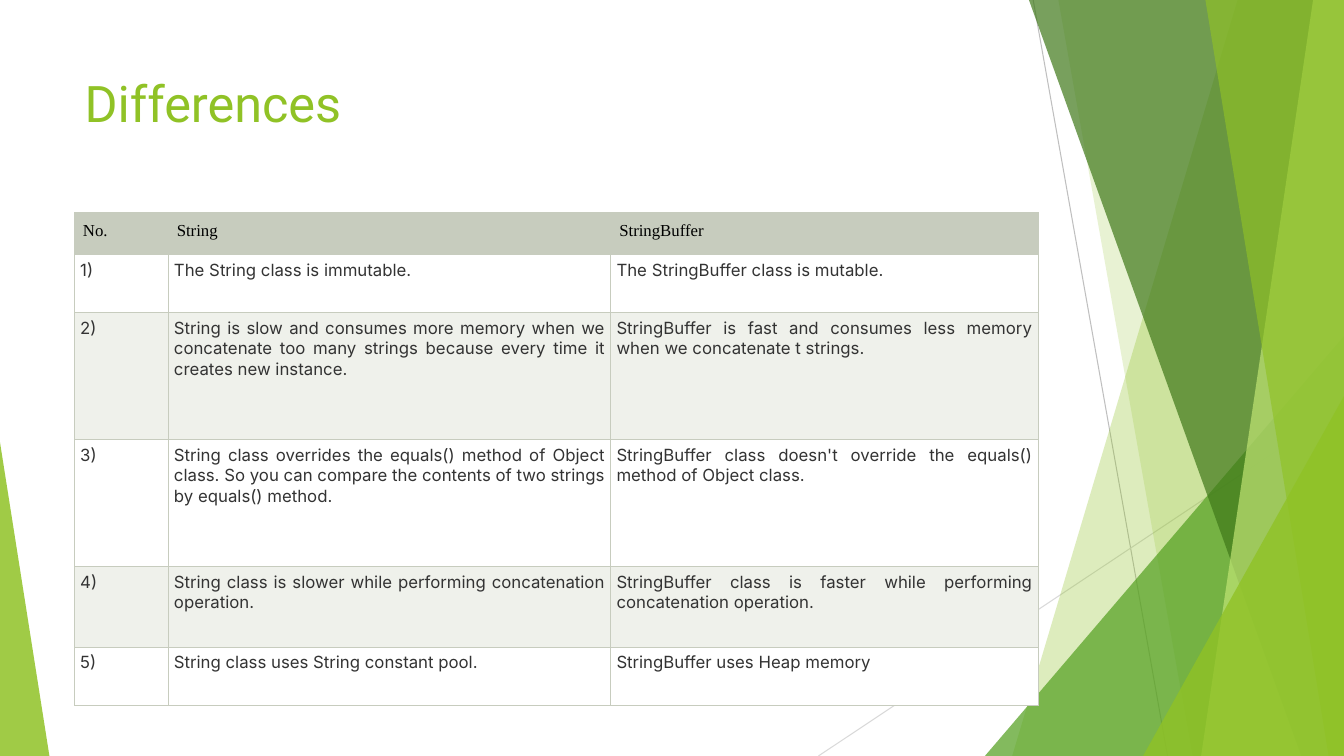
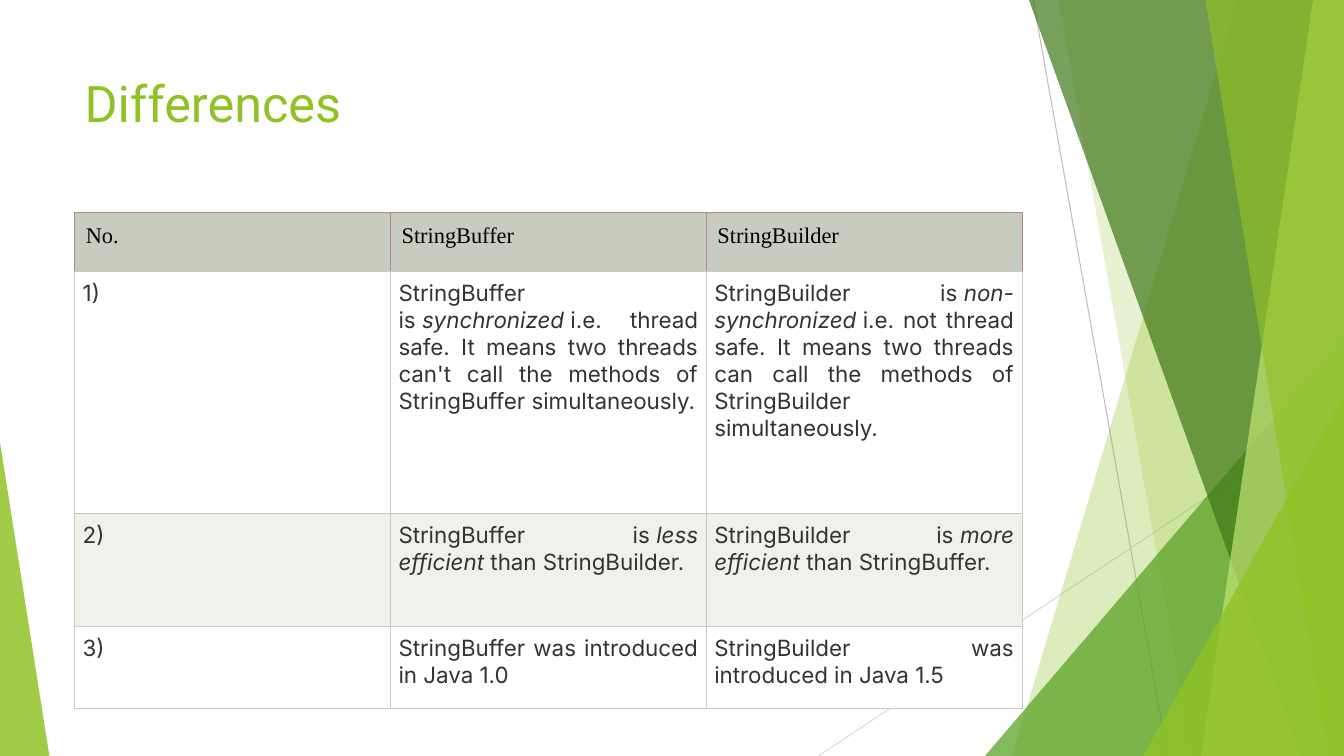
"""Build two slides that compare string classes in tables."""
from dataclasses import dataclass
from typing import Any

from lxml.etree import SubElement
from pptx import Presentation
from pptx.dml.color import RGBColor
from pptx.enum.shapes import MSO_CONNECTOR as CONNECTOR, MSO_SHAPE as SHAPE
from pptx.enum.text import MSO_ANCHOR as ANCHOR, PP_ALIGN as ALIGN
from pptx.oxml.ns import qn
from pptx.util import Pt

WIDTH, HEIGHT = 960, 540
LEFT, TITLE_TOP, TABLE_TOP = 53.3, 48, 152
LIME = RGBColor(0x90, 0xC2, 0x26)
GREEN = RGBColor(0x54, 0xA0, 0x21)
FOREST = RGBColor(0x3F, 0x78, 0x19)
PALE_LIME = RGBColor(0xC0, 0xE4, 0x74)
GREY = RGBColor(0xBF, 0xBF, 0xBF)
LIGHT_GREY = RGBColor(0xD9, 0xD9, 0xD9)
SAGE = RGBColor(0xC7, 0xCC, 0xBE)
PALE_SAGE = RGBColor(0xEF, 0xF1, 0xEB)
MAUVE = RGBColor(0xB0, 0x87, 0x97)
WHITE = RGBColor(0xFF, 0xFF, 0xFF)
BLACK = RGBColor(0, 0, 0)
INK = RGBColor(0x33, 0x33, 0x33)


@dataclass(frozen=True)
class Ray:
    start: tuple[float, float]
    end: tuple[float, float]
    color: RGBColor


@dataclass(frozen=True)
class Band:
    """A panel from a slanted left side to the right slide edge."""
    top_x: float
    bottom_x: float
    color: RGBColor
    alpha: int


@dataclass(frozen=True)
class Wedge:
    """A right triangle that stands on the bottom slide edge."""
    left: float
    top: float
    width: float
    apex: float
    color: RGBColor
    alpha: int


@dataclass(frozen=True)
class TextStyle:
    font: str
    size: float
    color: RGBColor
    align: ALIGN = ALIGN.LEFT


@dataclass(frozen=True)
class Comparison:
    title: str
    size: float
    header_inset: float
    body_inset: float
    header_border: RGBColor
    columns: list[float]
    heights: list[float]
    rows: list[tuple[str, ...]]


RAYS = [Ray((738, 0), (834, HEIGHT), GREY), Ray((WIDTH, 290), (584.6, HEIGHT), LIGHT_GREY)]
PANELS = [
    Band(884, 723, LIME, 30),
    Band(756, 851.8, LIME, 20),
    Wedge(703.5, 240, 256.5, 1, GREEN, 72),
    Band(735, 929.5, FOREST, 70),
    Band(938, 858, PALE_LIME, 70),
    Band(861, 949, LIME, 65),
    Wedge(816.5, 283, 143.5, 1, LIME, 80),
    Wedge(0, 316, 35.3, 0, LIME, 85),
]
TITLE_STYLE = TextStyle("Roboto", 36, LIME)

COMPARISONS = [
    Comparison(
        "Differences", 12, 6, 4, SAGE,
        [67, 316.1, 305.3], [29.6, 41.6, 90.7, 90.7, 57.6, 41.6],
        [
            ("No.", "String", "StringBuffer"),
            ("1)", "The String class is immutable.", "The StringBuffer class is mutable."),
            ("2)", "String is slow and consumes more memory when we concatenate too many "
             "strings because every time it creates new instance.",
             "StringBuffer is fast and consumes less memory when we concatenate t strings."),
            ("3)", "String class overrides the equals() method of Object class. So you can "
             "compare the contents of two strings by equals() method.",
             "StringBuffer class doesn't override the equals() method of Object class."),
            ("4)", "String class is slower while performing concatenation operation.",
             "StringBuffer class is faster while performing concatenation operation."),
            ("5)", "String class uses String constant pool.", "StringBuffer uses Heap memory"),
        ],
    ),
    Comparison(
        "Differences", 16, 8, 5.8, MAUVE,
        [225.6] * 3, [42, 172.8, 81, 58.5],
        [
            ("No.", "StringBuffer", "StringBuilder"),
            ("1)", "StringBuffer is\u00a0*synchronized*\u00a0i.e. thread safe. It means two "
             "threads can't call the methods of StringBuffer simultaneously.",
             "StringBuilder is\u00a0*non-synchronized*\u00a0i.e. not thread safe. It means two "
             "threads can call the methods of StringBuilder simultaneously."),
            ("2)", "StringBuffer is\u00a0*less efficient*\u00a0than StringBuilder.",
             "StringBuilder is\u00a0*more efficient*\u00a0than StringBuffer."),
            ("3)", "StringBuffer was introduced in Java 1.0",
             "StringBuilder was introduced in Java 1.5"),
        ],
    ),
]


def apply(target: Any, values: dict[str, Any]) -> None:
    for name, value in values.items():
        setattr(target, name, value)


def write(tf: Any, text: str, style: TextStyle) -> None:
    """Fill a text frame; asterisks enclose italic words."""
    p = tf.paragraphs[0]
    p.alignment = style.align
    for i, part in enumerate(text.split("*")):
        r = p.add_run()
        r.text = part
        apply(r.font, {"name": style.font, "size": Pt(style.size), "italic": i % 2 == 1})
        r.font.color.rgb = style.color


def add_ray(s: Any, ray: Ray) -> None:
    ends = [Pt(v) for v in (*ray.start, *ray.end)]
    line = s.shapes.add_connector(CONNECTOR.STRAIGHT, *ends)
    line.line.color.rgb = ray.color
    line.line.width = Pt(0.75)
    SubElement(line._element.spPr, qn("a:effectLst"))


def add_panel(s: Any, panel: Band | Wedge) -> None:
    if isinstance(panel, Band):
        corners = [(WIDTH, 0), (WIDTH, HEIGHT), (panel.bottom_x, HEIGHT)]
        builder = s.shapes.build_freeform(Pt(panel.top_x), 0)
        builder.add_line_segments([(Pt(x), Pt(y)) for x, y in corners])
        sp = builder.convert_to_shape()
    else:
        box = (panel.left, panel.top, panel.width, HEIGHT - panel.top)
        sp = s.shapes.add_shape(SHAPE.ISOSCELES_TRIANGLE, *map(Pt, box))
        sp.adjustments[0] = panel.apex
    sp.shadow.inherit = False
    sp.line.fill.background()
    sp.fill.solid()
    sp.fill.fore_color.rgb = panel.color
    color = sp._element.spPr.find(qn("a:solidFill"))[0]
    SubElement(color, qn("a:alpha"), val=str(panel.alpha * 1000))


def add_title(s: Any, text: str) -> None:
    tf = s.shapes.add_textbox(Pt(LEFT), Pt(TITLE_TOP), Pt(677), Pt(104)).text_frame
    apply(tf, {"word_wrap": True, "vertical_anchor": ANCHOR.TOP})
    write(tf, text, TITLE_STYLE)


def set_borders(cell: Any, side_color: RGBColor) -> None:
    """Draw all four edges, with the bottom one always sage."""
    tc_pr = cell._tc.get_or_add_tcPr()
    for edge in "LRTB":
        ln = SubElement(tc_pr, qn(f"a:ln{edge}"), w=str(Pt(0.75)))
        fill = SubElement(ln, qn("a:solidFill"))
        SubElement(fill, qn("a:srgbClr"), val=str(SAGE if edge == "B" else side_color))


def add_comparison(s: Any, data: Comparison) -> None:
    box = (LEFT, TABLE_TOP, sum(data.columns), sum(data.heights))
    table = s.shapes.add_table(len(data.rows), len(data.columns), *map(Pt, box)).table
    apply(table, {"first_row": False, "horz_banding": False})
    for column, width in zip(table.columns, data.columns):
        column.width = Pt(width)
    header = TextStyle("Times New Roman", data.size, BLACK)
    body = TextStyle("Inter", data.size, INK, ALIGN.JUSTIFY)
    for i, (row, height, texts) in enumerate(zip(table.rows, data.heights, data.rows)):
        row.height = Pt(height)
        if i == 0:
            style, inset, border, fill = header, data.header_inset, data.header_border, SAGE
        else:
            style, inset, border = body, data.body_inset, SAGE
            fill = WHITE if i % 2 else PALE_SAGE
        for cell, text in zip(row.cells, texts):
            apply(cell, {f"margin_{side}": Pt(inset)
                         for side in ("left", "right", "top", "bottom")})
            set_borders(cell, border)
            cell.fill.solid()
            cell.fill.fore_color.rgb = fill
            write(cell.text_frame, text, style)


def build() -> None:
    prs = Presentation()
    apply(prs, {"slide_width": Pt(WIDTH), "slide_height": Pt(HEIGHT)})
    for data in COMPARISONS:
        s = prs.slides.add_slide(prs.slide_layouts[6])
        for ray in RAYS:
            add_ray(s, ray)
        for panel in PANELS:
            add_panel(s, panel)
        add_title(s, data.title)
        add_comparison(s, data)
    prs.save("out.pptx")


build()
